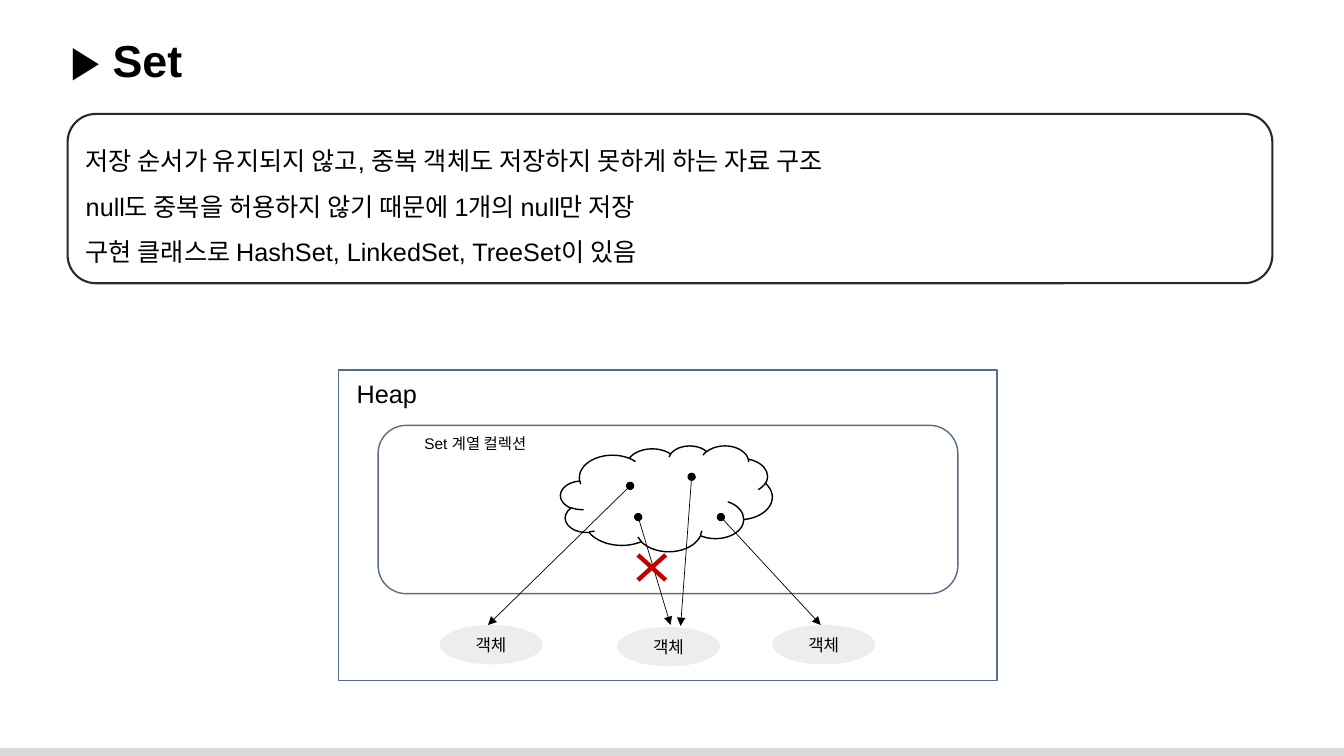
from dataclasses import dataclass

from lxml.etree import SubElement
from pptx import Presentation
from pptx.dml.color import RGBColor
from pptx.enum.shapes import MSO_CONNECTOR, MSO_SHAPE
from pptx.enum.text import MSO_ANCHOR, MSO_AUTO_SIZE, PP_ALIGN
from pptx.oxml.ns import qn
from pptx.util import Emu, Pt

EMU_PER_PX = 9144


@dataclass(frozen=True)
class Theme:
    font: str = "Arial"
    ink: str = "000000"
    frame: str = "222A35"
    memory: str = "586C89"
    item: str = "EDEDED"
    footer: str = "D9D9D9"
    reject: str = "C00000"
    title: int = 32
    body: int = 18
    small: int = 12
    caption: int = 11


def px(*lengths):
    return [Emu(length * EMU_PER_PX) for length in lengths]


class SlideBuilder:
    def __init__(self, slide, theme):
        self.theme = theme
        self.canvas = slide.shapes

    def start_group(self):
        self.canvas = self.canvas.add_group_shape().shapes

    def fill_text(self, frame, lines, size, bold=False, align=PP_ALIGN.LEFT, spacing=None):
        frame.word_wrap = True
        frame.text = "\n".join(lines)
        for paragraph in frame.paragraphs:
            paragraph.alignment = align
            paragraph.line_spacing = spacing
            for run in paragraph.runs:
                run.font.name = self.theme.font
                run.font.size = Pt(size)
                run.font.bold = bold
                run.font.color.rgb = RGBColor.from_string(self.theme.ink)

    def label(self, box, text, size, bold=False):
        frame = self.canvas.add_textbox(*px(*box)).text_frame
        self.fill_text(frame, [text], size, bold)
        frame.auto_size = MSO_AUTO_SIZE.SHAPE_TO_FIT_TEXT

    def shape(self, kind, box, fill=None, line=None, width=1):
        shape = self.canvas.add_shape(kind, *px(*box))
        shape.shadow.inherit = False
        if fill:
            shape.fill.solid()
            shape.fill.fore_color.rgb = RGBColor.from_string(fill)
        else:
            shape.fill.background()
        if line:
            shape.line.color.rgb = RGBColor.from_string(line)
            shape.line.width = Pt(width)
        else:
            shape.line.fill.background()
        return shape

    def panel(self, box, lines):
        panel = self.shape(MSO_SHAPE.ROUNDED_RECTANGLE, box, line=self.theme.frame, width=1.5)
        panel.text_frame.vertical_anchor = MSO_ANCHOR.MIDDLE
        self.fill_text(panel.text_frame, lines, self.theme.body, spacing=1.5)

    def item(self, box, text):
        item = self.shape(MSO_SHAPE.OVAL, box, fill=self.theme.item)
        item.text_frame.vertical_anchor = MSO_ANCHOR.MIDDLE
        self.fill_text(item.text_frame, [text], self.theme.small, align=PP_ALIGN.CENTER)

    def reference(self, start, end):
        reference = self.canvas.add_connector(MSO_CONNECTOR.STRAIGHT, *px(*start, *end))
        reference.line.color.rgb = RGBColor.from_string(self.theme.ink)
        reference.line.width = Pt(0.5)
        properties = reference.element.spPr
        outline = properties.find(qn("a:ln"))
        SubElement(outline, qn("a:headEnd"), type="oval")
        SubElement(outline, qn("a:tailEnd"), type="triangle")
        SubElement(properties, qn("a:effectLst"))

    def cross(self, box):
        cross = self.shape(MSO_SHAPE.MATH_MULTIPLY, box, fill=self.theme.reject)
        cross.adjustments[0] = 0.09


def main():
    deck = Presentation()
    deck.slide_width, deck.slide_height = px(1333, 750)
    theme = Theme()
    builder = SlideBuilder(deck.slides.add_slide(deck.slide_layouts[6]), theme)

    builder.shape(MSO_SHAPE.RECTANGLE, (-3, 742, 1339, 11), fill=theme.footer)
    builder.label((60, 28, 1260, 64), "▶ Set", theme.title, bold=True)
    builder.panel((67, 113, 1195, 168), [
        "저장 순서가 유지되지 않고, 중복 객체도 저장하지 못하게 하는 자료 구조",
        "null도 중복을 허용하지 않기 때문에 1개의 null만 저장",
        "구현 클래스로 HashSet, LinkedSet, TreeSet이 있음",
    ])

    builder.start_group()
    builder.shape(MSO_SHAPE.RECTANGLE, (336, 367, 653, 308), line=theme.memory)
    builder.label((344, 370, 114, 40), "Heap", theme.body)
    builder.shape(MSO_SHAPE.ROUNDED_RECTANGLE, (375, 422, 575, 167), line=theme.memory)
    builder.label((411, 426, 282, 29), "Set 계열 컬렉션", theme.caption)

    for left, top in ((436, 620), (612, 622), (766, 620)):
        builder.item((left, top, 102, 39), "객체")

    for start, end in (
        ((625, 482), (484, 620)),
        ((633, 513), (665, 620)),
        ((715, 513), (814, 620)),
        ((686, 473), (675, 621)),
    ):
        builder.reference(start, end)

    builder.shape(MSO_SHAPE.CLOUD, (556, 442, 210, 105), line=theme.ink)
    builder.cross((620, 539, 53, 48))

    deck.save("out.pptx")


if __name__ == "__main__":
    main()
